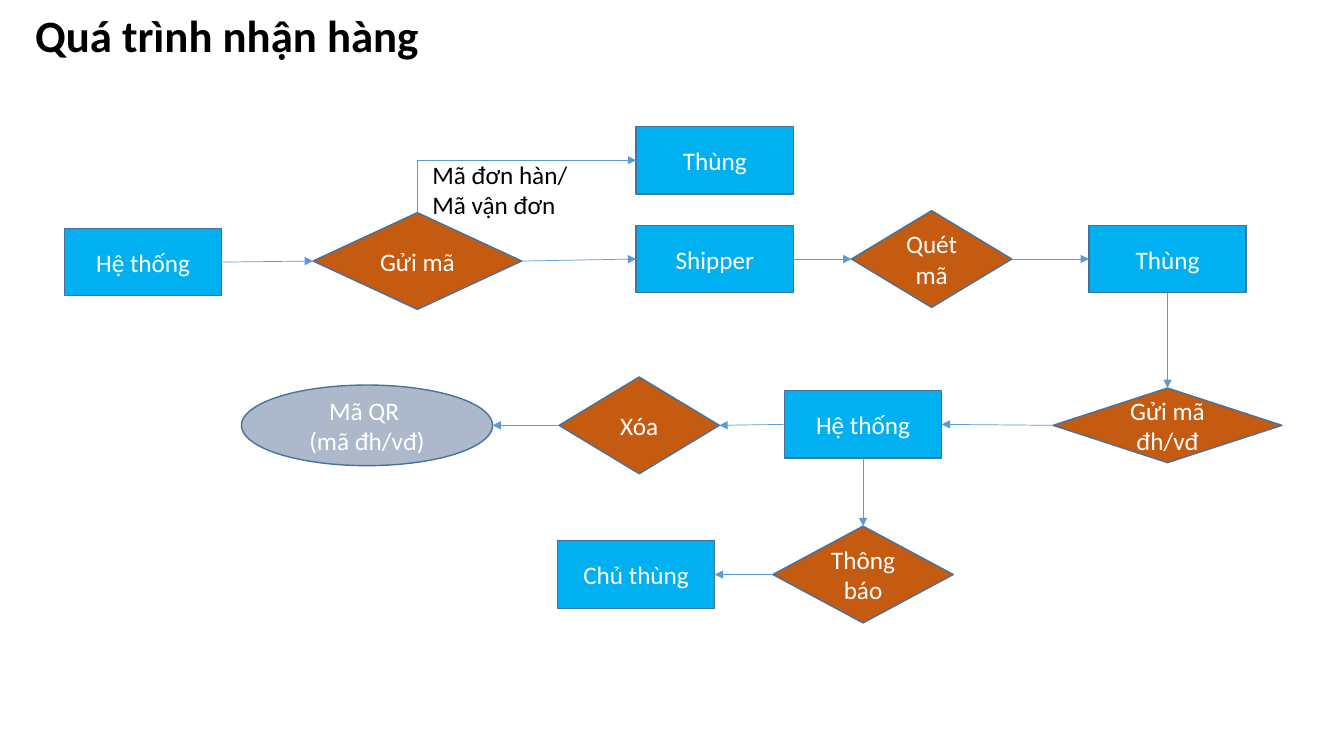
from lxml import etree
from pptx import Presentation
from pptx.dml.color import RGBColor
from pptx.enum.shapes import MSO_CONNECTOR, MSO_SHAPE
from pptx.enum.text import MSO_ANCHOR, MSO_AUTO_SIZE, PP_ALIGN
from pptx.oxml.ns import qn
from pptx.util import Inches, Pt

RECT, GEM, OVAL = MSO_SHAPE.RECTANGLE, MSO_SHAPE.DIAMOND, MSO_SHAPE.OVAL
LEFT, CENTER = PP_ALIGN.LEFT, PP_ALIGN.CENTER
TOP, MIDDLE = MSO_ANCHOR.TOP, MSO_ANCHOR.MIDDLE
COLORS = {"box": "00B0F0", "gem": "C55A11", "oval": "ADB9CA", "edge": "43739E",
          "arrow": "5B9BD5", "white": "FFFFFF", "black": "000000"}
FONT = "Calibri"

# Kinds of step: preset, fill, default width and height
KINDS = {"box": (RECT, "box", 1.56, 0.67), "gem": (GEM, "gem", 1.59, 0.96),
         "oval": (OVAL, "oval", 2.49, 0.8)}

# Steps: kind, lines of text, center x and y, then any other width and height
STEPS = {
    "system": ("box", ["Hệ thống"], 1.42, 2.6),
    "send": ("gem", ["Gửi mã"], 4.14, 2.59, 2.07),
    "bin": ("box", ["Thùng"], 7.09, 1.59),
    "shipper": ("box", ["Shipper"], 7.09, 2.57),
    "scan": ("gem", ["Quét mã"], 9.24, 2.57),
    "target": ("box", ["Thùng"], 11.58, 2.57),
    "order": ("gem", ["Gửi mã đh/vđ"], 11.58, 4.22, 2.27, 0.74),
    "server": ("box", ["Hệ thống"], 8.56, 4.21),
    "delete": ("gem", ["Xóa"], 6.34, 4.22),
    "code": ("oval", ["Mã QR ", "(mã đh/vđ)"], 3.64, 4.22),
    "notify": ("gem", ["Thông báo"], 8.56, 5.7, 1.79),
    "owner": ("box", ["Chủ thùng"], 6.31, 5.7),
}

# Arrows: first step, its side, last step, its side
ARROWS = [
    ("system", "right", "send", "left"),
    ("send", "right", "shipper", "left"),
    ("shipper", "right", "scan", "left"),
    ("scan", "right", "target", "left"),
    ("target", "bottom", "order", "top"),
    ("order", "left", "server", "right"),
    ("server", "left", "delete", "right"),
    ("delete", "left", "code", "right"),
    ("server", "bottom", "notify", "top"),
    ("notify", "left", "owner", "right"),
    ("send", "top", "bin", "left"),
]
# Sides: glue site, share of width, share of height
SIDES = {"top": (0, 0.5, 0), "left": (1, 0, 0.5),
         "bottom": (2, 0.5, 1), "right": (3, 1, 0.5)}

# Labels: lines, left, top, width, height, format
LABELS = [
    (["Quá trình nhận hàng"], 0.25, 0.03, 4.04, 0.64, {"size": 32, "bold": True}),
    (["Mã đơn hàn/", "Mã vận đơn"], 4.19, 1.53, 1.56, 0.71, {}),
]

deck = Presentation()
deck.slide_width, deck.slide_height = Inches(13.33), Inches(7.5)
slide = deck.slides.add_slide(deck.slide_layouts[6])
shapes = slide.shapes


def color(name):
    return RGBColor.from_string(COLORS[name])


def write(shape, lines, size=18, bold=False, ink="black", align=LEFT,
          anchor=TOP, wrap=False):
    frame = shape.text_frame
    frame.word_wrap, frame.vertical_anchor = wrap, anchor
    for i, line in enumerate(lines):
        para = frame.add_paragraph() if i else frame.paragraphs[0]
        para.alignment = align
        run = para.add_run()
        run.text = line
        font = run.font
        font.name, font.size, font.bold = FONT, Pt(size), bold
        font.color.rgb = color(ink)


def draw(kind, lines, x, y, wide=None, high=None):
    preset, fill, w, h = KINDS[kind]
    w, h = wide or w, high or h
    shape = shapes.add_shape(preset, *map(Inches, (x - w / 2, y - h / 2, w, h)))
    shape.shadow.inherit = False
    shape.fill.solid()
    shape.fill.fore_color.rgb = color(fill)
    shape.line.color.rgb = color("edge")
    shape.line.width = Pt(1)
    write(shape, lines, ink="white", align=CENTER, anchor=MIDDLE, wrap=True)
    return shape


def point(shape, side):
    _, across, down = SIDES[side]
    return (int(shape.left + across * shape.width),
            int(shape.top + down * shape.height))


def bend(line, start, end):
    """Turn the connector into one corner: up first, then right."""
    run, rise = end[0] - start[0], start[1] - end[1]
    line.left = (start[0] + end[0] - rise) // 2
    line.top = (start[1] + end[1] - run) // 2
    line.width, line.height = rise, run
    props = line._element.spPr
    frame = props.find(qn("a:xfrm"))
    for key, value in (("rot", "5400000"), ("flipH", "1"), ("flipV", "1")):
        frame.set(key, value)
    props.find(qn("a:prstGeom")).set("prst", "bentConnector2")


def link(first, out, last, into):
    start, end = point(first, out), point(last, into)
    bent = out == "top"
    kind = MSO_CONNECTOR.ELBOW if bent else MSO_CONNECTOR.STRAIGHT
    line = shapes.add_connector(kind, *start, *end)
    line.begin_connect(first, SIDES[out][0])
    if last.auto_shape_type != OVAL:
        line.end_connect(last, SIDES[into][0])
    if bent:
        bend(line, start, end)
    line.line.color.rgb = color("arrow")
    line.line.width = Pt(0.5)
    props = line._element.spPr
    etree.SubElement(props.find(qn("a:ln")), qn("a:tailEnd"), type="triangle")
    etree.SubElement(props, qn("a:effectLst"))


# Steps and the arrows between them
nodes = {name: draw(*step) for name, step in STEPS.items()}
for first, out, last, into in ARROWS:
    link(nodes[first], out, nodes[last], into)

# Title and arrow label
for lines, x, y, w, h, style in LABELS:
    box = shapes.add_textbox(*map(Inches, (x, y, w, h)))
    write(box, lines, **style)
    box.text_frame.auto_size = MSO_AUTO_SIZE.SHAPE_TO_FIT_TEXT

deck.save("out.pptx")
